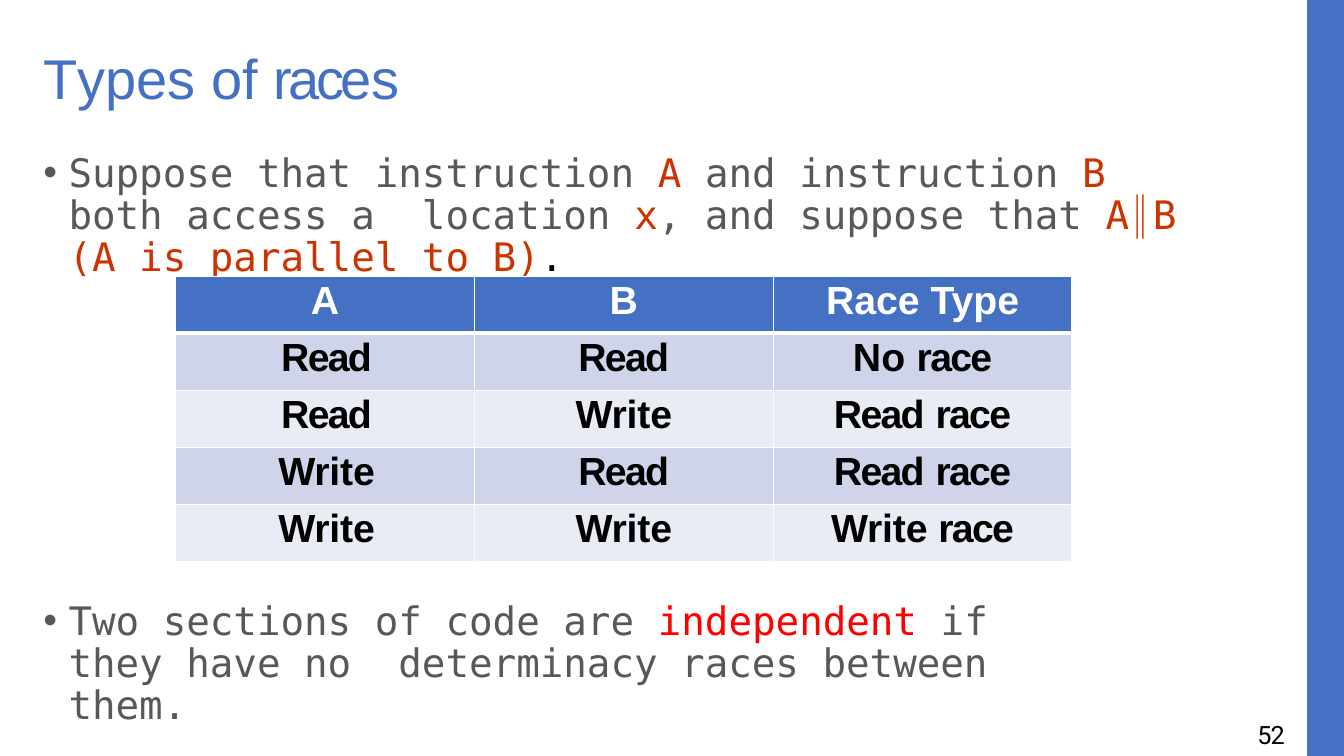
from pptx import Presentation
from pptx import util as u
from pptx.dml import color
from pptx.enum import text
from pptx.oxml import parse_xml
from pptx.oxml import ns

WIDTH, HEIGHT = u.Inches(13.33), u.Inches(7.5)
BLUE, WHITE, BLACK = "4471C4", "FFFFFF", "000000"
GREY, RUST, RED = "585858", "CC3300", "FF0000"
BANDS = ["CFD4EA", "E9EBF5"]

TITLE = [("T", -2.8), ("y", -2.2), ("p", -2.9), ("e", -3), ("s", 0), (" ", 0),
         ("o", -3.4), ("f", 0), (" ", 0), ("r", -2.5), ("ace", -2.5), ("s", 0)]
PREMISE = [("Suppose that instruction ", GREY), ("A ", RUST),
           ("and instruction ", GREY), ("B ", RUST),
           ("both access a  location ", GREY), ("x", RUST),
           (", and suppose that ", GREY),
           ("A∥B (A is parallel to B)", RUST), (".", BLACK)]
CONCLUSION = [("Two sections of code are ", GREY), ("independent ", RED),
              ("if they have no  determinacy races between them.", GREY)]
HEADINGS = ["A", "B", "Race Type"]
RACES = [["Read", "Read", "No race"],
         ["Read", "Write", "Read race"],
         ["Write", "Read", "Read race"],
         ["Write", "Write", "Write race"]]
TRACKING = {"Read": -1.2, "race": -1.2, "Write": -0.1, "No": 0.3}


def rgb(value):
    return color.RGBColor.from_string(value)


def grid(left, top, width, height):
    column, row = WIDTH / 100, HEIGHT / 100
    return [round(left * column), round(top * row),
            round(width * column), round(height * row)]


def place(part, box):
    part.left, part.top, part.width, part.height = box


def frame_margins(frame, top):
    frame.margin_left = frame.margin_right = frame.margin_bottom = 0
    frame.margin_top = u.Inches(top)
    frame.vertical_anchor = text.MSO_ANCHOR.TOP
    frame.word_wrap = True
    frame.auto_size = text.MSO_AUTO_SIZE.SHAPE_TO_FIT_TEXT


def indent(paragraph, left, first):
    properties = paragraph._p.get_or_add_pPr()
    properties.set("marL", str(u.Inches(left)))
    properties.set("indent", str(u.Inches(first)))


def add_words(paragraph, words, font, size, shade, spacing=0, bold=False):
    run = paragraph.add_run()
    run.text = words
    run.font.name, run.font.size, run.font.bold = font, u.Pt(size), bold
    run.font.color.rgb = rgb(shade)
    if spacing:
        run._r.get_or_add_rPr().set("spc", str(round(spacing * 100)))


def add_panel(slide, box, shade, depth):
    left, top, width, height = box
    right, bottom = left + width, top + height
    outline = slide.shapes.build_freeform(right, top)
    outline.add_line_segments([(left, top), (left, bottom), (right, bottom)])
    panel = outline.convert_to_shape()
    panel.shadow.inherit = False
    panel.fill.solid()
    panel.fill.fore_color.rgb = rgb(shade)
    panel.line.fill.background()
    slide.shapes._spTree.insert(2 + depth, panel._element)


def fill_title(title, box):
    place(title, box)
    frame_margins(title.text_frame, 0.01)
    heading = title.text_frame.paragraphs[0]
    heading.alignment = text.PP_ALIGN.LEFT
    heading.space_before = u.Pt(0.9)
    indent(heading, 0.01, 0)
    for letters, spacing in TITLE:
        add_words(heading, letters, "Arial", 40, BLUE, spacing)


def fill_bullet(body, box, phrases):
    place(body, box)
    frame_margins(body.text_frame, 0.07)
    bullet = body.text_frame.paragraphs[0]
    bullet.alignment = text.PP_ALIGN.LEFT
    bullet.line_spacing, bullet.space_before = u.Pt(30.2), u.Pt(4.8)
    indent(bullet, 0.26, -0.25)
    for words, shade in phrases:
        add_words(bullet, words, "DejaVu Sans Mono", 28, shade)


def add_borders(cell, widths):
    properties = cell._tc.get_or_add_tcPr()
    for position, (side, width) in enumerate(widths.items()):
        properties.insert(position, parse_xml(
            f'<a:{side} {ns.nsdecls("a")} w="{u.Pt(width)}"><a:solidFill>'
            f'<a:srgbClr val="{WHITE}"/></a:solidFill></a:{side}>'))


def fill_cell(cell, words, row, column):
    header = row == 0
    cell.margin_right = cell.margin_bottom = 0
    cell.margin_left = u.Inches(0 if header or column else 0.03)
    cell.margin_top = u.Inches(0.03)
    cell.fill.solid()
    cell.fill.fore_color.rgb = rgb(BLUE if header else BANDS[(row - 1) % 2])
    add_borders(cell, {"lnL": 1, "lnR": 1, "lnT": 3 if row == 1 else 1,
                       "lnB": 3 if header else 1})
    label = cell.text_frame.paragraphs[0]
    label.alignment = text.PP_ALIGN.CENTER
    label.space_before = u.Pt(1.8)
    shade = WHITE if header else BLACK
    for position, part in enumerate([words] if header else words.split()):
        if position:
            add_words(label, " ", "Arial", 28, shade, 0, True)
        add_words(label, part, "Arial", 28, shade, TRACKING.get(part, 0), True)


def add_race_table(slide, box):
    rows = [HEADINGS] + RACES
    races = slide.shapes.add_table(len(rows), len(HEADINGS), *box).table
    for column in races.columns:
        column.width = round(box[2] / len(HEADINGS))
    for row, labels in enumerate(rows):
        races.rows[row].height = round(box[3] / len(rows))
        for column, words in enumerate(labels):
            fill_cell(races.cell(row, column), words, row, column)


def add_page_number(slide, box):
    number = slide.shapes.add_textbox(*box)
    frame_margins(number.text_frame, 0)
    line = number.text_frame.paragraphs[0]
    line.line_spacing = u.Pt(19.2)
    indent(line, 0.04, 0)
    add_words(line, "52", "Roboto", 18, BLACK, -0.6)


def build_races_slide(deck):
    slide = deck.slides.add_slide(deck.slide_layouts.get_by_name("Two Content"))
    slide.background.fill.solid()
    slide.background.fill.fore_color.rgb = rgb(WHITE)
    title, premise, conclusion = slide.placeholders
    add_panel(slide, grid(0, 0, 100, 100), BLUE, 0)
    add_panel(slide, grid(0, 0, 97.27, 100), WHITE, 1)
    fill_title(title, grid(3.15, 5.6, 31.88, 9.2))
    fill_bullet(premise, grid(3.15, 19.27, 84.85, 12.13), PREMISE)
    fill_bullet(conclusion, grid(3.15, 78.53, 77.94, 12.13), CONCLUSION)
    add_race_table(slide, grid(13.07, 36.55, 66.69, 37.73))
    add_page_number(slide, grid(93.25, 95.6, 2.63, 3.87))


def main():
    deck = Presentation()
    deck.slide_width, deck.slide_height = WIDTH, HEIGHT
    build_races_slide(deck)
    deck.save("out.pptx")


if __name__ == "__main__":
    main()
